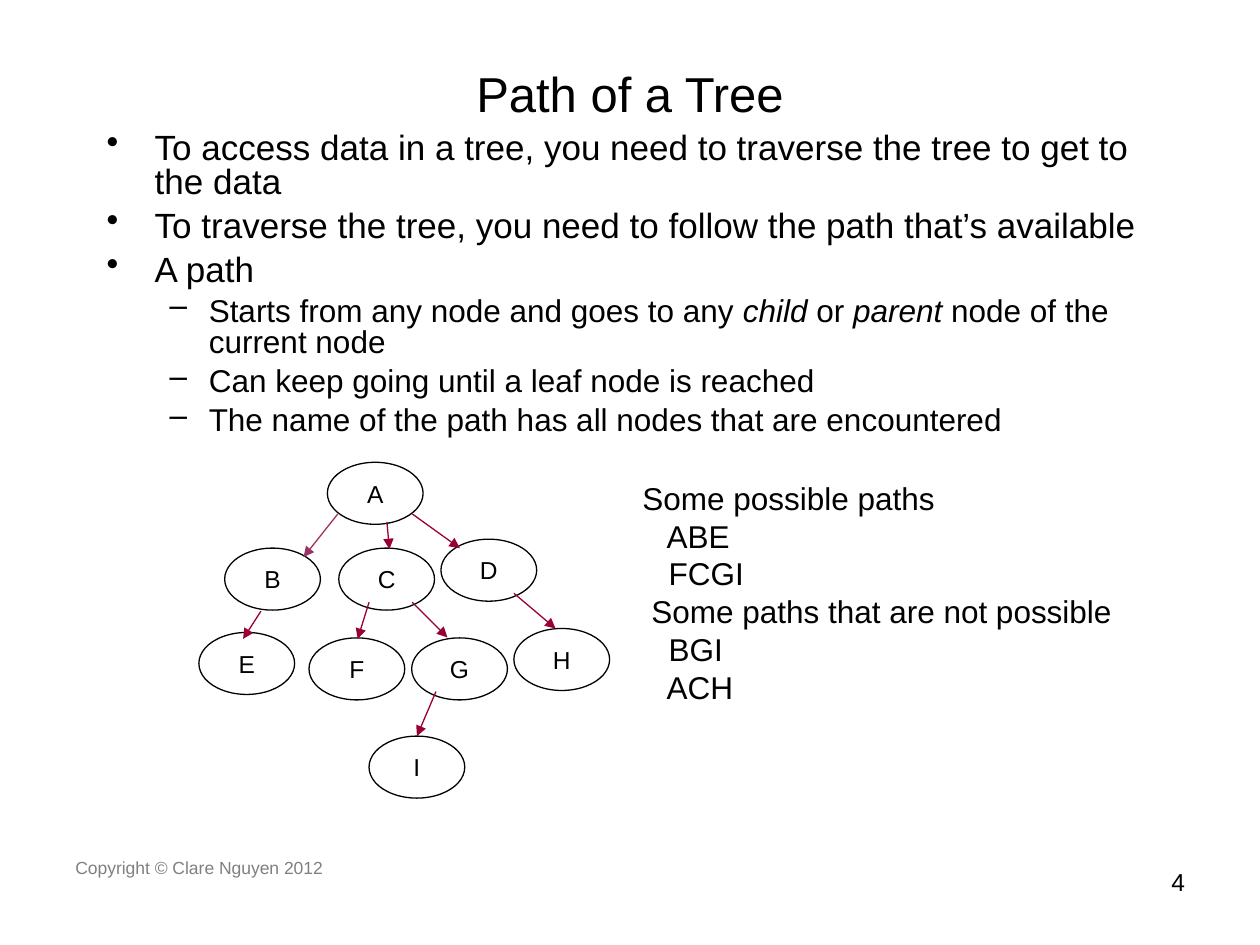
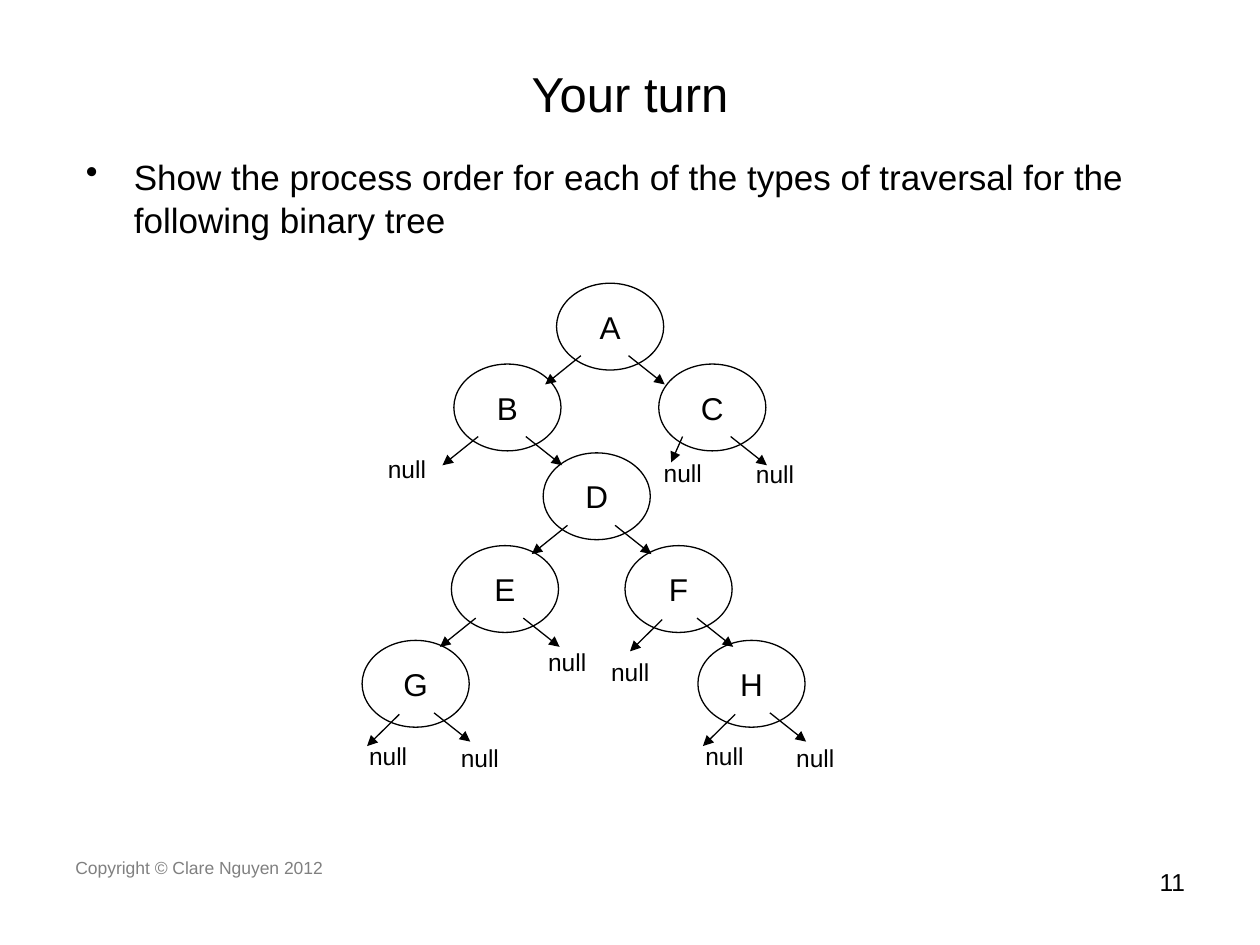
from pptx import Presentation
from pptx.dml.color import RGBColor
from pptx.enum.shapes import MSO_CONNECTOR as Link, MSO_SHAPE as Kind
from pptx.enum.text import MSO_ANCHOR as Anchor, PP_ALIGN as Align
from pptx.oxml.ns import qn
from pptx.util import Cm, Pt
from lxml.etree import SubElement as Sub

BLACK, GREY, RED, PLUM = "000000", "808080", "990033", "993366"
BULLETS = {"•": (20, 0.97, 0.97, 5), "–": (18, 2.06, 0.79, 4.5)}


def tint(code):
    return RGBColor.from_string(code)


class Deck:
    """Holds the shared style and the slide being drawn."""

    font = "Arial"
    thin = Pt(0.75)
    lead = 1.2

    def __init__(self):
        self.prs = Presentation()
        self.prs.slide_width, self.prs.slide_height = Cm(25.4), Cm(19.05)

    def style(self, para, size, color=BLACK, align=Align.LEFT):
        para.alignment = align
        for run in para.runs:
            run.font.name, run.font.size = self.font, Pt(size)
            run.font.color.rgb = tint(color)

    def start(self, name, number):
        self.slide = self.prs.slides.add_slide(self.prs.slide_layouts[5])
        self.shapes = self.slide.shapes
        title = self.shapes.title
        title.left, title.top = Cm(1.27), Cm(0.76)
        title.width, title.height = Cm(22.86), Cm(2.21)
        title.text_frame.text = name
        title.text_frame.vertical_anchor = Anchor.MIDDLE
        self.style(title.text_frame.paragraphs[0], 28, align=Align.CENTER)
        self.label("Copyright © Clare Nguyen 2012", 1.27, 17.15, 8.05, 10, GREY)
        self.label(number, 18.21, 17.35, 5.93, 14, align=Align.RIGHT)

    def frame(self, x, y, w, h):
        box = self.shapes.add_textbox(Cm(x), Cm(y), Cm(w), Cm(h))
        box.text_frame.word_wrap = True
        return box.text_frame

    def label(self, text, x, y, w, size, color=BLACK, align=Align.LEFT):
        frame = self.frame(x, y, w, 1.32)
        frame.text = text
        self.style(frame.paragraphs[0], size, color, align)

    def bullets(self, rows, x, y, w, h, spacing):
        frame = self.frame(x, y, w, h)
        for i, (mark, text) in enumerate(rows):
            size, left, hang, gap = BULLETS[mark]
            para = frame.add_paragraph() if i else frame.paragraphs[0]
            props = para._p.get_or_add_pPr()
            props.set("marL", str(Cm(left)))
            props.set("indent", str(-Cm(hang)))
            Sub(props, qn("a:buChar")).set("char", mark)
            for k, part in enumerate(text.split("*")):
                run = para.add_run()
                run.text, run.font.italic = part, k % 2 == 1
            para.line_spacing = spacing
            para.space_before = Pt(gap if i else 0)
            self.style(para, size)

    def lines(self, rows, x, y, w, h, size):
        frame = self.frame(x, y, w, h)
        frame.margin_right = 0
        frame.text = "\n".join(text for text, left in rows)
        for para, (text, left) in zip(frame.paragraphs, rows):
            para._p.get_or_add_pPr().set("marL", str(Cm(left)))
            para.line_spacing = Pt(size * self.lead)
            self.style(para, size)

    def node(self, name, x, y, w, h, size):
        oval = self.shapes.add_shape(Kind.OVAL, Cm(x), Cm(y), Cm(w), Cm(h))
        oval.shadow.inherit = False
        oval.fill.background()
        oval.line.color.rgb, oval.line.width = tint(BLACK), self.thin
        frame = oval.text_frame
        frame.text, frame.word_wrap = name, False
        frame.vertical_anchor = Anchor.MIDDLE
        self.style(frame.paragraphs[0], size, align=Align.CENTER)
        return oval

    def arrow(self, x1, y1, x2, y2, color=BLACK):
        line = self.shapes.add_connector(
            Link.STRAIGHT, Cm(x1), Cm(y1), Cm(x2), Cm(y2))
        line.line.color.rgb, line.line.width = tint(color), self.thin
        Sub(line.line._get_or_add_ln(), qn("a:tailEnd")).set("type", "triangle")
        Sub(line._element.spPr, qn("a:effectLst"))
        return line


def paths(deck):
    deck.start("Path of a Tree", "4")
    deck.bullets([
        ("•", "To access data in a tree, you need to traverse the tree to get to the data"),
        ("•", "To traverse the tree, you need to follow the path that’s available"),
        ("•", "A path"),
        ("–", "Starts from any node and goes to any *child* or *parent* node of the current node"),
        ("–", "Can keep going until a leaf node is reached"),
        ("–", "The name of the path has all nodes that are encountered"),
    ], 1.9, 2.54, 21.39, 6.99, 0.83)
    spots = {"A": (6.6, 9.32), "B": (4.53, 11.05), "C": (6.83, 11.05),
             "D": (8.89, 10.87), "E": (4.01, 12.75), "F": (6.23, 12.86),
             "G": (8.3, 12.86), "H": (10.36, 12.67), "I": (7.44, 14.84)}
    nodes = {name: deck.node(name, *spot, 1.93, 1.25, 14)
             for name, spot in spots.items()}
    deck.arrow(6.81, 10.36, 6.12, 11.23, PLUM)
    for ends in [(7.8, 10.52, 7.85, 11.07), (8.31, 10.36, 9.27, 11.05),
                 (10.36, 11.96, 11.2, 12.67), (8.31, 12.14, 9.02, 12.85),
                 (7.44, 12.14, 7.21, 12.88), (5.26, 12.32, 4.9, 12.88)]:
        deck.arrow(*ends, RED)
    deck.arrow(8.79, 13.94, 8.41, 14.84, RED).end_connect(nodes["I"], 0)
    deck.lines([("Some possible paths", 0), ("ABE", 0.49), ("FCGI", 0.53),
                ("Some paths that are not possible", 0.18),
                ("BGI", 0.53), ("ACH", 0.49)], 12.7, 9.53, 9.96, 4.83, 18)


def turn(deck):
    deck.start("Your turn", "11")
    deck.bullets([("•", "Show the process order for each of the types of "
                        "traversal for the following binary tree")],
                 1.48, 2.97, 22.86, 12.57, 1.04)
    right = (1.45, 1.46, 2.18, 2.04)
    wide = (0.49, 1.46, -0.23, 2.04)
    steep = (0.75, 1.49, 0.1, 2.13)
    short = (0.48, 1.46, 0.25, 1.98)
    for name, x, y, left in [
            ("A", 11.22, 5.71, wide), ("B", 9.15, 7.34, wide),
            ("C", 13.28, 7.34, short), ("D", 10.95, 9.13, wide),
            ("E", 9.1, 11, wide), ("F", 12.6, 11, steep),
            ("G", 7.3, 12.91, steep), ("H", 14.07, 12.91, steep)]:
        deck.node(name, x, y, 2.16, 1.75, 18)
        for x1, y1, x2, y2 in (left, right):
            deck.arrow(x + x1, y + y1, x + x2, y + y2)
    for x, y in [(7.57, 9.02), (13.13, 9.1), (14.99, 9.12),
                 (10.8, 12.91), (12.07, 13.12), (7.19, 14.81),
                 (9.04, 14.85), (13.97, 14.81), (15.8, 14.85)]:
        deck.lines([("null", 0)], x, y, 1.27, 0.86, 14)


def main():
    deck = Deck()
    paths(deck)
    turn(deck)
    deck.prs.save("out.pptx")


if __name__ == "__main__":
    main()
